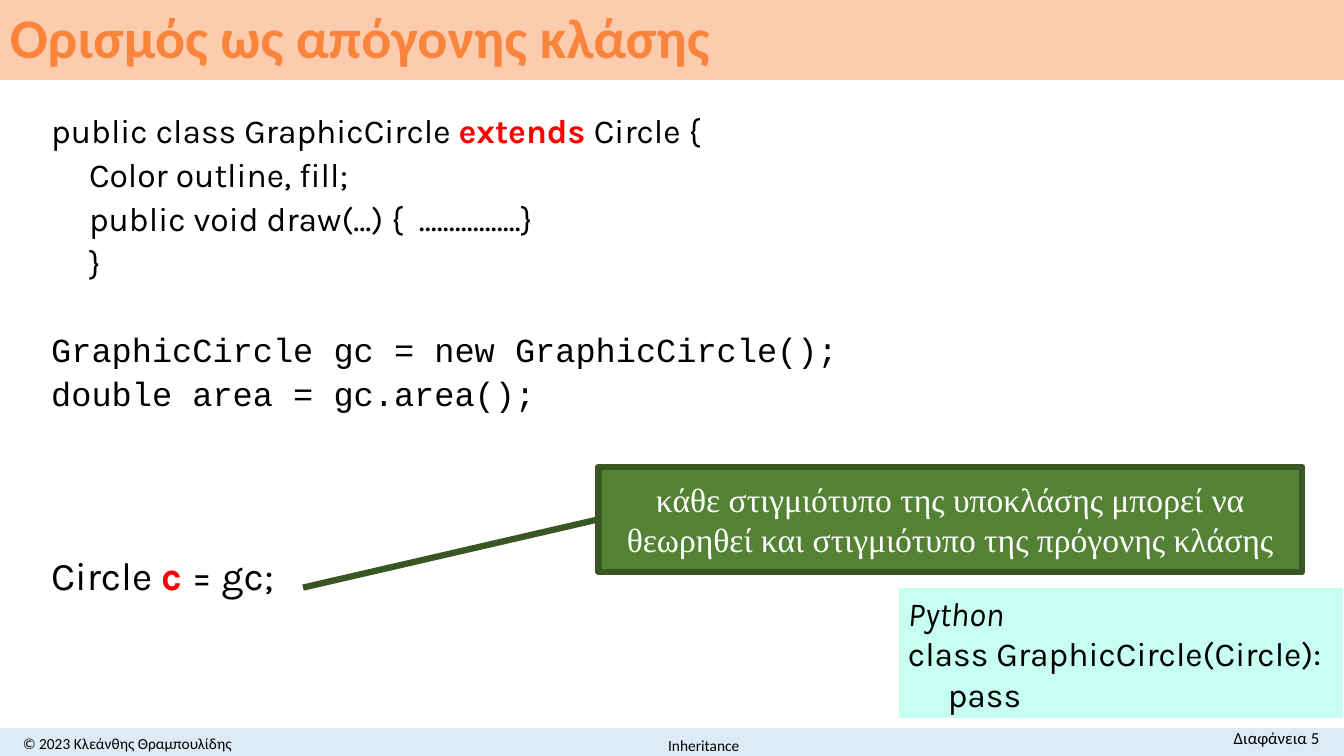
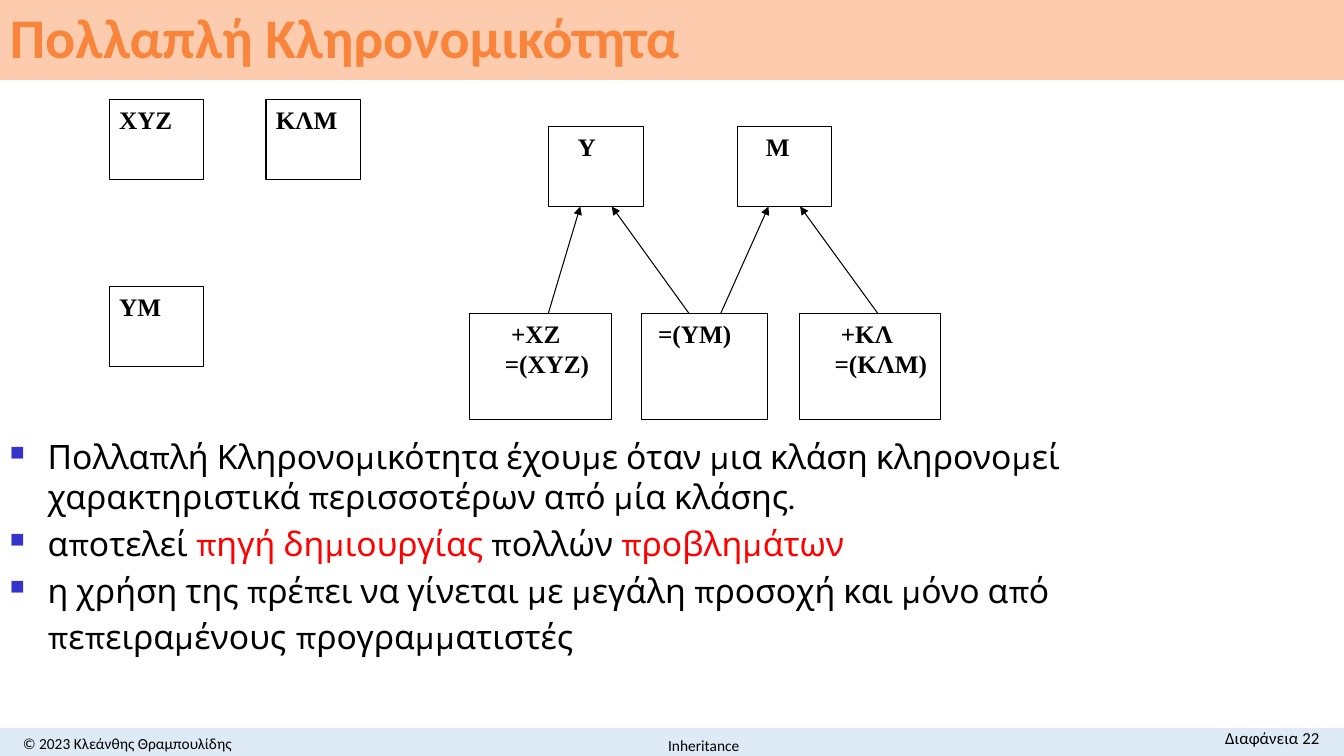
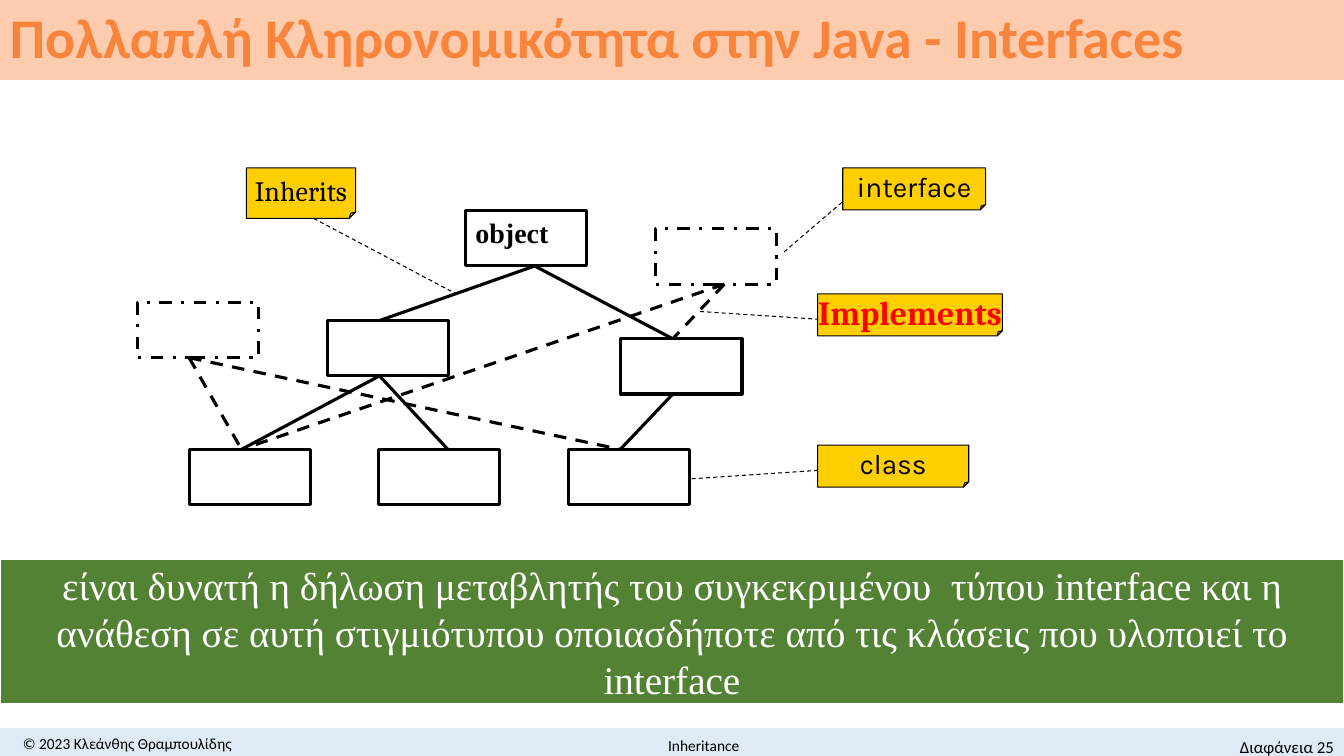
"""Three lecture slides on inheritance, multiple inheritance and interfaces."""
from lxml import etree
from pptx import Presentation
from pptx.dml.color import RGBColor
from pptx.enum.dml import MSO_LINE as DASH
from pptx.enum.shapes import MSO_CONNECTOR, MSO_SHAPE as SHAPE
from pptx.enum.text import MSO_ANCHOR as ANCHOR, PP_ALIGN as ALIGN
from pptx.oxml.ns import qn
from pptx.util import Pt

BLACK = RGBColor(0x00, 0x00, 0x00)
WHITE = RGBColor(0xFF, 0xFF, 0xFF)
RED = RGBColor(0xFF, 0x00, 0x00)
ORANGE = RGBColor(0xF9, 0x85, 0x3D)
PEACH = RGBColor(0xFD, 0xCB, 0xAD)
PALE_BLUE = RGBColor(0xDE, 0xEB, 0xF7)
MINT = RGBColor(0xC7, 0xFF, 0xF0)
GREEN = RGBColor(0x54, 0x82, 0x35)
DARK_GREEN = RGBColor(0x38, 0x57, 0x23)
YELLOW = RGBColor(0xFF, 0xCF, 0x01)
BULLET_BLUE = "3333CC"

SANS, CODE, MONO = "Calibri", "Karla", "Courier New"
SERIF, NOTE = "Times New Roman", "Cambria"
WIDTH, HEIGHT = 960, 540
INDENT = 27

TITLES = [
    ("Ορισμός ως απόγονης κλάσης", "Διαφάνεια 5", (801, 516)),
    ("Πολλαπλή Κληρονομικότητα", "Διαφάνεια 22", (801, 516)),
    ("Πολλαπλή Κληρονομικότητα στην Java - Interfaces", "Διαφάνεια 25", (811.5, 523)),
]

# (runs, indent, space before)
JAVA = [
    ([("public class GraphicCircle ",), ("extends ", {"color": RED, "bold": True}),
      ("Circle {",)], 0, 0),
    ([("Color outline, fill;",)], INDENT, 5.5),
    ([("public void draw(...) {  .................}",)], INDENT, 5.5),
    ([("}",)], INDENT, 5.5),
    ([("GraphicCircle gc = new GraphicCircle();", {"font": MONO})], 0, 36.5),
    ([("double area = gc.area();", {"font": MONO})], 0, 5.5),
    ([("Circle ", {"size": 28}), ("c", {"size": 28, "color": RED, "bold": True}),
      (" = gc;", {"size": 28})], 0, 102),
]
PYTHON = [[("Python", {"italic": True})], [("class GraphicCircle(Circle):",)], [("     pass",)]]
CALLOUT = "κάθε στιγμιότυπο της υποκλάσης μπορεί να θεωρηθεί και στιγμιότυπο της πρόγονης κλάσης"
POINTER = (50000, 0, 115000, -42000)

# name: (left, top, width, height, [(text, indent)])
CLASS_BOXES = {
    "XYZ": (78, 71, 67.5, 57, [("ΧΥΖ", 0)]),
    "KLM": (190, 71, 67.5, 57, [("ΚΛΜ", 0)]),
    "YM": (78, 204.5, 67.5, 57, [("ΥΜ", 0)]),
    "Y": (392, 90.5, 67.5, 57, [("Υ", 13.5)]),
    "M": (526.5, 90.5, 67.5, 57, [("Μ", 13.5)]),
    "+XZ": (335.5, 224, 101, 75.5, [("+ΧΖ", 22.5), ("=(ΧΥΖ)", 18)]),
    "=YM": (458.5, 224, 90, 75.5, [("=(ΥΜ)", 4.5)]),
    "+KL": (571, 224, 101, 75.5, [("+ΚΛ", 22.5), ("=(ΚΛΜ)", 18)]),
}
# (child, fraction of its top, parent, fraction of its bottom)
ARROWS = [("+XZ", 5 / 9, "Y", 1 / 3), ("=YM", 3 / 8, "Y", 2 / 3),
          ("=YM", 5 / 8, "M", 1 / 3), ("+KL", 5 / 9, "M", 2 / 3)]
BULLETS = [
    [("Πολλαπλή Κληρονομικότητα έχουμε όταν μια κλάση κληρονομεί "
      "χαρακτηριστικά περισσοτέρων από μία κλάσης.",)],
    [("αποτελεί ",), ("πηγή δημιουργίας", {"color": RED}), (" πολλών ",),
     ("προβλημάτων", {"color": RED})],
    [("η χρήση της πρέπει να γίνεται με μεγάλη προσοχή και μόνο από πεπειραμένους",),
     (" ", {"size": 28}), ("προγραμματιστές",)],
]

NODE_W, NODE_H = 86.5, 39.5
# name: (left, top, joint as a fraction of the width, text, dash)
NODES = {
    "object": (332.5, 150.5, 4 / 7, "object", None),
    "leaf 3": (406, 321, 3 / 7, "", None),
    "leaf 2": (270.5, 321, 4 / 7, "", None),
    "left": (234, 229, 3 / 7, "", None),
    "leaf 1": (135.5, 321, 3 / 7, "", None),
    "right": (443.5, 242, 3 / 7, "", None),
    "interface 1": (468, 163.5, 4 / 7, "", DASH.DASH_DOT),
    "interface 2": (98, 216, 3 / 7, "", DASH.DASH_DOT),
}
INHERITS = [("object", "left"), ("object", "right"), ("left", "leaf 2"),
            ("left", "leaf 1"), ("right", "leaf 3")]
IMPLEMENTS = [("interface 2", "leaf 1"), ("interface 2", "leaf 3"),
              ("interface 1", "leaf 1"), ("interface 1", "right")]
# (text, box, style, pointer)
NOTES = [
    ("interface", (602, 120, 102, 30), {"font": CODE}, (560, 180, 602, 144)),
    ("class", (584, 318, 108, 30), {"font": CODE}, (494, 342, 584, 336)),
    ("Inherits", (176, 120, 78, 36), {"font": NOTE}, (224, 156, 326, 210)),
    ("Implements", (584, 210, 132, 30),
     {"font": NOTE, "size": 24, "color": RED, "bold": True}, (500, 222.5, 584, 228)),
]
SUMMARY = ("είναι δυνατή η δήλωση μεταβλητής του συγκεκριμένου  τύπου interface και η ανάθεση "
           "σε αυτή στιγμιότυπου οποιασδήποτε από τις κλάσεις που υλοποιεί το interface")


def add_runs(p, runs, font=CODE, size=24, color=BLACK, bold=False, italic=False):
    base = dict(font=font, size=size, color=color, bold=bold, italic=italic)
    for text, *own in runs:
        style = {**base, **(own[0] if own else {})}
        r = p.add_run()
        r.text = text
        r.font.name = style["font"]
        r.font.size = Pt(style["size"])
        r.font.color.rgb = style["color"]
        r.font.bold = style["bold"]
        r.font.italic = style["italic"]


def paragraphs(tf, count):
    return [tf.paragraphs[0]] + [tf.add_paragraph() for _ in range(count - 1)]


def add_text(sp, text, align=ALIGN.LEFT, anchor=ANCHOR.MIDDLE, wrap=True, **style):
    tf = sp.text_frame
    tf.word_wrap = wrap
    tf.vertical_anchor = anchor
    p = tf.paragraphs[0]
    p.alignment = align
    add_runs(p, [(text,)], **style)
    return p


def textbox(s, box):
    return s.shapes.add_textbox(*map(Pt, box))


def shape(s, box, fill, line=None, width=0.75, kind=SHAPE.RECTANGLE, dash=None):
    sp = s.shapes.add_shape(kind, *map(Pt, box))
    sp.shadow.inherit = False
    sp.fill.solid()
    sp.fill.fore_color.rgb = fill
    if line is None:
        sp.line.fill.background()
    else:
        sp.line.color.rgb = line
        sp.line.width = Pt(width)
    if dash is not None:
        sp.line.dash_style = dash
    return sp


def set_guides(sp, values):
    guides = sp._element.spPr.find(qn("a:prstGeom")).find(qn("a:avLst"))
    for gd in list(guides):
        guides.remove(gd)
    for i, value in enumerate(values, 1):
        etree.SubElement(guides, qn("a:gd"), name=f"adj{i}", fmla=f"val {value}")


def connector(s, ends, width=0.75, dash=None, arrow=False):
    c = s.shapes.add_connector(MSO_CONNECTOR.STRAIGHT, *map(Pt, ends))
    c.line.color.rgb = BLACK
    c.line.width = Pt(width)
    if dash is not None:
        c.line.dash_style = dash
    if arrow:
        ln = c._element.spPr.find(qn("a:ln"))
        etree.SubElement(ln, qn("a:tailEnd"), type="triangle")
    etree.SubElement(c._element.spPr, qn("a:effectLst"))


def add_bullet(p):
    pPr = p._p.get_or_add_pPr()
    pPr.set("marL", str(Pt(INDENT)))
    pPr.set("indent", str(-Pt(INDENT)))
    color = etree.SubElement(pPr, qn("a:buClr"))
    etree.SubElement(color, qn("a:srgbClr"), val=BULLET_BLUE)
    etree.SubElement(pPr, qn("a:buSzPct"), val="60000")
    etree.SubElement(pPr, qn("a:buChar"), char="■")


def base_slide(prs, title, number, number_at):
    s = prs.slides.add_slide(prs.slide_layouts[6])
    shape(s, (0, 520, WIDTH, 21.5), PALE_BLUE)
    band = shape(s, (0, 0, WIDTH, 57), PEACH)
    add_text(band, title, font=SANS, size=40, color=ORANGE, bold=True).line_spacing = 0.9
    for text, box, size, align, anchor in [
        ("© 2023 Κλεάνθης Θραμπουλίδης", (0, 520, 182, 21.5), 11, ALIGN.CENTER, ANCHOR.MIDDLE),
        (number, (*number_at, 148.5, 21.5), 12, ALIGN.RIGHT, ANCHOR.TOP),
        ("Inheritance", (262, 521.5, 481.5, 21.5), 11, ALIGN.CENTER, ANCHOR.MIDDLE),
    ]:
        add_text(textbox(s, box), text, align, anchor, font=SANS, size=size)
    return s


def subclass_slide(s):
    tf = textbox(s, (29.5, 78, 612, 324)).text_frame
    tf.word_wrap = True
    for p, (runs, indent, before) in zip(paragraphs(tf, len(JAVA)), JAVA):
        p._p.get_or_add_pPr().set("marL", str(Pt(indent)))
        p.line_spacing = 0.9
        if before:
            p.space_before = Pt(before)
        add_runs(p, runs)

    tf = shape(s, (641.5, 420, 318.5, 93.5), MINT, WHITE).text_frame
    tf.word_wrap = False
    tf.vertical_anchor = ANCHOR.TOP
    for p, runs in zip(paragraphs(tf, len(PYTHON)), PYTHON):
        p.alignment = ALIGN.LEFT
        add_runs(p, runs)

    callout = shape(s, (427.5, 333.5, 502.5, 75), GREEN, DARK_GREEN, 4.5, SHAPE.LINE_CALLOUT_1)
    set_guides(callout, POINTER)
    add_text(callout, CALLOUT, ALIGN.CENTER, font=SERIF, color=WHITE)


def multiple_slide(s):
    for *box, lines in CLASS_BOXES.values():
        tf = shape(s, box, WHITE, BLACK).text_frame
        tf.word_wrap = True
        tf.vertical_anchor = ANCHOR.TOP
        tf.margin_right = 0
        for p, (text, indent) in zip(paragraphs(tf, len(lines)), lines):
            p._p.get_or_add_pPr().set("marL", str(Pt(indent)))
            p.alignment = ALIGN.LEFT
            add_runs(p, [(text,)], font=SERIF, size=18, bold=True)

    for child, start, parent, end in ARROWS:
        cx, cy, cw = CLASS_BOXES[child][:3]
        px, py, pw, ph = CLASS_BOXES[parent][:4]
        connector(s, (cx + cw * start, cy, px + pw * end, py + ph), arrow=True)

    tf = textbox(s, (0, 307.5, 913.5, 120)).text_frame
    tf.word_wrap = True
    for i, (p, runs) in enumerate(zip(paragraphs(tf, len(BULLETS)), BULLETS)):
        add_bullet(p)
        if i:
            p.space_before = Pt(4.8)
        add_runs(p, runs)


def interfaces_slide(s):
    for left, top, _, text, dash in NODES.values():
        sp = shape(s, (left, top, NODE_W, NODE_H), WHITE, BLACK, 2.25, dash=dash)
        if text:
            add_text(sp, text, anchor=ANCHOR.TOP, font=SERIF, size=20, bold=True)

    for links, dash in ((INHERITS, None), (IMPLEMENTS, DASH.DASH)):
        for parent, child in links:
            (px, py, pj), (cx, cy, cj) = NODES[parent][:3], NODES[child][:3]
            ends = (px + NODE_W * pj, py + NODE_H, cx + NODE_W * cj, cy)
            connector(s, ends, 2.25, dash)

    for text, box, style, pointer in NOTES:
        note = shape(s, box, YELLOW, BLACK, kind=SHAPE.FOLDED_CORNER)
        set_guides(note, ())
        set_guides(note, (12500,))
        add_text(note, text, ALIGN.CENTER, wrap=False, **{"size": 20, **style})
        connector(s, pointer, dash=DASH.DASH)

    summary = shape(s, (0, 399.5, WIDTH, 103.5), GREEN, WHITE, 1)
    add_text(summary, SUMMARY, ALIGN.CENTER, font=SERIF, size=28, color=WHITE)


def main():
    prs = Presentation()
    prs.slide_width, prs.slide_height = Pt(WIDTH), Pt(HEIGHT)
    for heading, fill in zip(TITLES, (subclass_slide, multiple_slide, interfaces_slide)):
        fill(base_slide(prs, *heading))
    prs.save("out.pptx")


if __name__ == "__main__":
    main()
